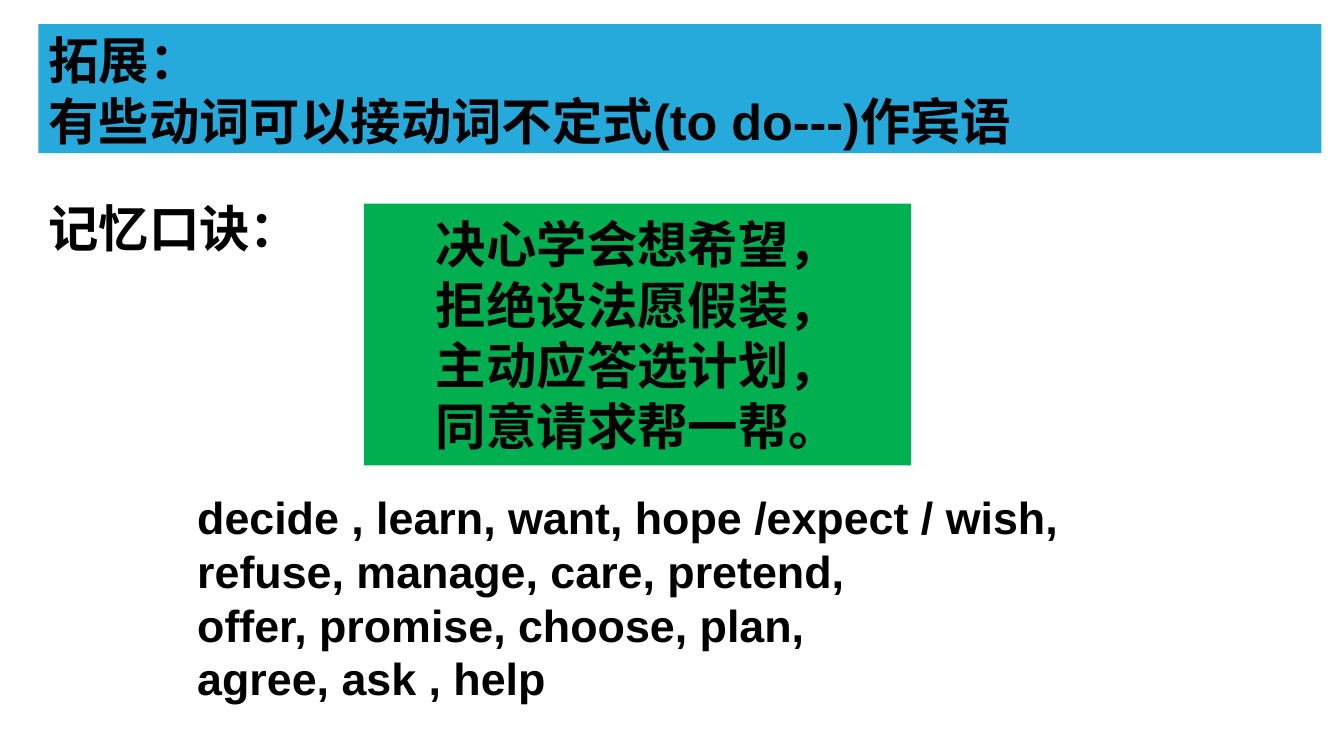
from dataclasses import dataclass
from typing import Optional

from lxml import etree
from pptx import Presentation
from pptx import util as u
from pptx.dml import color as c
from pptx.enum import shapes, text
from pptx.oxml import ns


@dataclass(frozen=True)
class Theme:
    ink: str = "000000"
    blue: str = "26AADB"
    green: str = "00B050"
    latin: str = "Arial"
    han: str = "Noto Sans CJK SC"
    big: int = 36
    mid: int = 32


@dataclass(frozen=True)
class Block:
    box: tuple[float, float, float, float]  # left, top, width, height in cm
    lines: tuple[str, ...]
    face: str
    size: int
    fill: Optional[str] = None
    align: text.PP_ALIGN = text.PP_ALIGN.LEFT
    anchor: text.MSO_ANCHOR = text.MSO_ANCHOR.TOP
    wrap: bool = True


T = Theme()

BLOCKS = (
    # Title band
    Block((0.97, 0.61, 32.33, 3.25),
          ("拓展：", "有些动词可以接动词不定式(to do---)作宾语"),
          T.latin, T.big, fill=T.blue),
    # Rhyme label
    Block((0.97, 4.85, 6.86, 1.8), ("记忆口诀：",),
          T.han, T.big, wrap=False),
    # Rhyme panel
    Block((9.17, 5.13, 13.79, 6.6),
          ("决心学会想希望，", "拒绝设法愿假装，",
           "主动应答选计划，", "同意请求帮一帮。"),
          T.han, T.big, fill=T.green,
          align=text.PP_ALIGN.CENTER, anchor=text.MSO_ANCHOR.MIDDLE),
    # Verb list
    Block((4.72, 12.22, 25.55, 5.72),
          ("decide , learn, want, hope /expect / wish,",
           "refuse, manage, care, pretend,",
           "offer, promise, choose, plan,",
           "agree, ask , help"),
          T.latin, T.mid),
)


def put(obj: object, form: dict[str, object]) -> None:
    for key, val in form.items():
        setattr(obj, key, val)


def write(frame, block: Block) -> None:
    put(frame, {"word_wrap": block.wrap, "vertical_anchor": block.anchor})
    for i, line in enumerate(block.lines):
        para = frame.add_paragraph() if i else frame.paragraphs[0]
        para.alignment = block.align
        run = para.add_run()
        run.text = line
        put(run.font, {"name": block.face, "size": u.Pt(block.size), "bold": True})
        run.font.color.rgb = c.RGBColor.from_string(T.ink)
        # East Asian face follows the Latin one in the run properties
        props = run.font._element
        etree.SubElement(props, ns.qn("a:ea"), typeface=T.han)


def draw(slide, block: Block) -> None:
    box = [u.Cm(n) for n in block.box]
    if block.fill:
        shape = slide.shapes.add_shape(shapes.MSO_SHAPE.RECTANGLE, *box)
        shape.shadow.inherit = False
        shape.fill.solid()
        shape.fill.fore_color.rgb = c.RGBColor.from_string(block.fill)
        shape.line.fill.background()
    else:
        shape = slide.shapes.add_textbox(*box)
        shape.text_frame.auto_size = text.MSO_AUTO_SIZE.SHAPE_TO_FIT_TEXT
    write(shape.text_frame, block)


def main() -> None:
    deck = Presentation()
    put(deck, {"slide_width": u.Cm(33.87), "slide_height": u.Cm(19.05)})
    slide = deck.slides.add_slide(deck.slide_layouts[6])
    for block in BLOCKS:
        draw(slide, block)
    deck.save("out.pptx")


if __name__ == "__main__":
    main()
